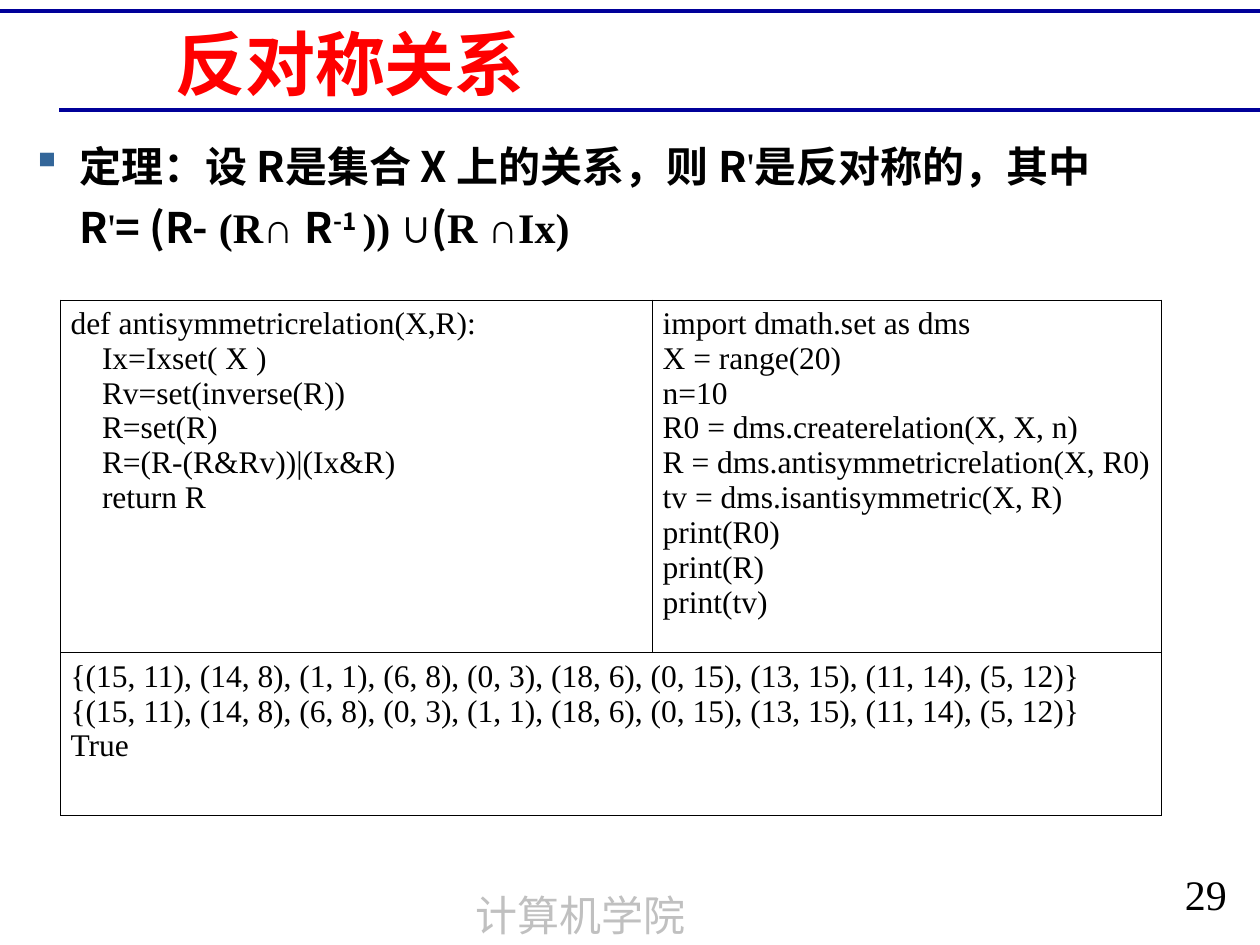
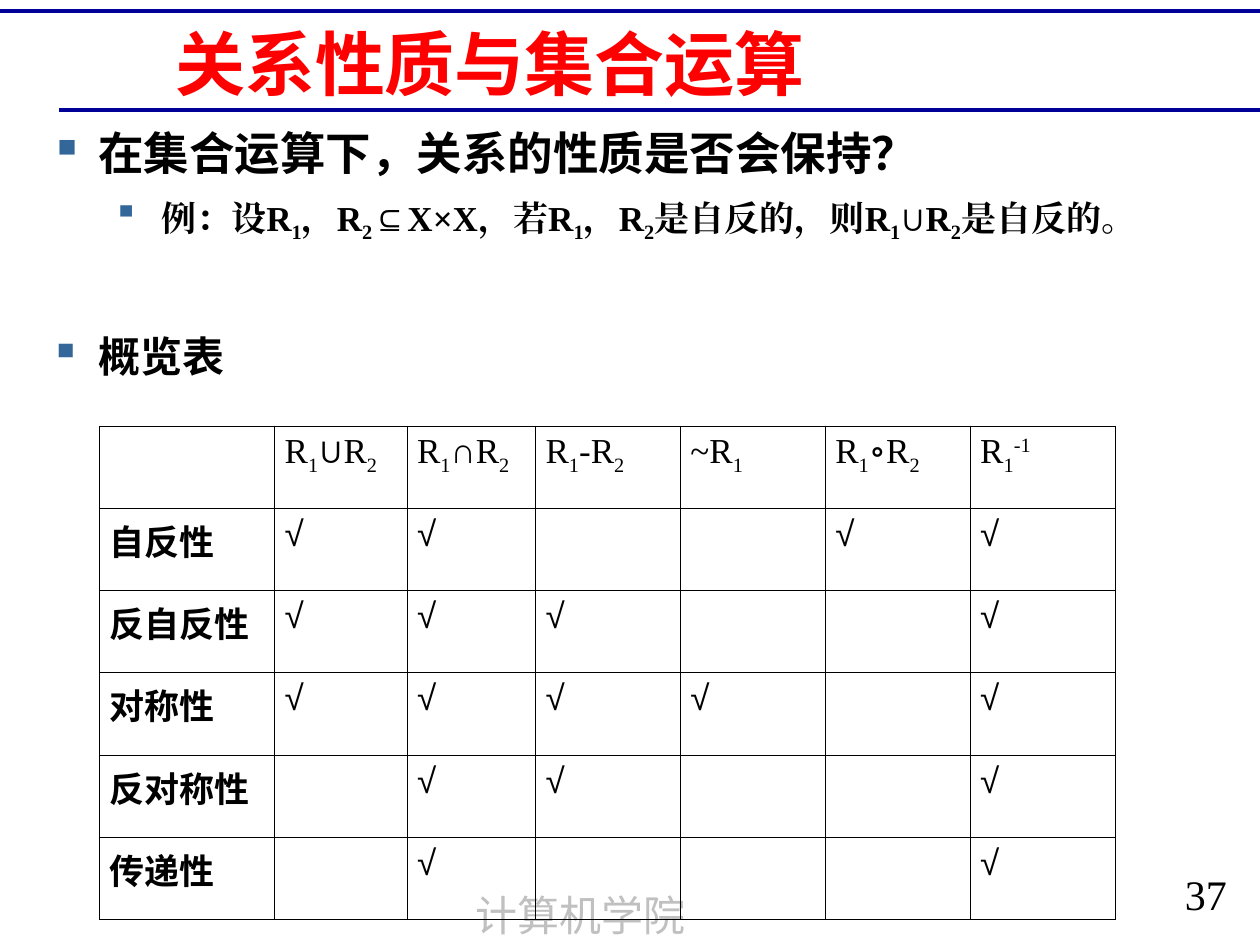
from lxml import etree
from pptx import Presentation
from pptx.dml.color import RGBColor
from pptx.enum.shapes import MSO_CONNECTOR
from pptx.enum.text import MSO_ANCHOR, MSO_AUTO_SIZE, PP_ALIGN
from pptx.oxml import parse_xml
from pptx.oxml.ns import nsdecls, qn
from pptx.util import Inches, Pt

STRAIGHT = MSO_CONNECTOR.STRAIGHT
MIDDLE = MSO_ANCHOR.MIDDLE
NO_AUTOFIT = MSO_AUTO_SIZE.NONE
LEFT, CENTER = PP_ALIGN.LEFT, PP_ALIGN.CENTER

NAVY = RGBColor(0x00, 0x00, 0x99)
RED = RGBColor(0xFF, 0x00, 0x00)
BLACK = RGBColor(0x00, 0x00, 0x00)
GRAY = RGBColor(0xC0, 0xC0, 0xC0)
BULLET_BLUE = RGBColor(0x33, 0x66, 0x99)

HEI = "Noto Sans CJK SC"
TIMES = "Times New Roman"
ARIAL = "Arial"
SUB, SUPER = -25, 30


def write_runs(paragraph, runs, size, color=BLACK):
    """Add runs given as (text, font name, bold, baseline shift in percent)."""
    for text, font_name, bold, baseline in runs:
        run = paragraph.add_run()
        run.text = text
        run.font.name = font_name
        run.font.size = Pt(size)
        run.font.bold = bold
        run.font.color.rgb = color
        properties = run.font._element
        etree.SubElement(properties, qn("a:ea")).set("typeface", font_name)
        if baseline:
            properties.set("baseline", str(baseline * 1000))


def add_text_box(slide, left, top, width, height):
    text_box = slide.shapes.add_textbox(Inches(left), Inches(top), Inches(width), Inches(height))
    text_box.text_frame.word_wrap = True
    return text_box.text_frame


presentation = Presentation()
presentation.slide_width = Inches(10)
presentation.slide_height = Inches(7.5)
title_only = presentation.slide_layouts[5]

# Shared frame: rules, footer, page number, title
slides = []
for title_text, page_number in (("反对称关系", "29"), ("关系性质与集合运算", "37")):
    slide = presentation.slides.add_slide(title_only)
    slides.append(slide)

    for start, y in ((0, 0.09), (0.47, 0.87)):
        rule = slide.shapes.add_connector(STRAIGHT, Inches(start), Inches(y), Inches(10), Inches(y))
        rule.line.color.rgb = NAVY
        rule.line.width = Pt(2.25)
        etree.SubElement(rule._element.spPr, qn("a:effectLst"))

    for text, font_name, color, box in (
        ("计算机学院", HEI, GRAY, (3.14, 7.01, 2.93, 0.5)),
        (page_number, TIMES, BLACK, (9.14, 6.84, 0.86, 0.5)),
    ):
        paragraph = add_text_box(slide, *box).paragraphs[0]
        paragraph.alignment = CENTER
        write_runs(paragraph, [(text, font_name, False, 0)], 24, color)

    title = slide.shapes.title
    title.left, title.top = Inches(1.29), Inches(0.21)
    title.width, title.height = Inches(8.14), Inches(0.58)
    title.text_frame.auto_size = NO_AUTOFIT
    title.text_frame.vertical_anchor = MIDDLE
    paragraph = title.text_frame.paragraphs[0]
    paragraph.alignment = LEFT
    write_runs(paragraph, [(title_text, HEI, True, 0)], 40, RED)

theorem_slide, overview_slide = slides

# Theorem and code
code_table = theorem_slide.shapes.add_table(
    2, 2, Inches(0.48), Inches(2.38), Inches(8.74), Inches(4.01)).table
for column, width in zip(code_table.columns, (4.7, 4.04)):
    column.width = Inches(width)
for row, height in zip(code_table.rows, (2.72, 1.29)):
    row.height = Inches(height)
code_table.cell(1, 0).merge(code_table.cell(1, 1))

FUNCTION_CODE = """def antisymmetricrelation(X,R):
    Ix=Ixset( X )
    Rv=set(inverse(R))
    R=set(R)
    R=(R-(R&Rv))|(Ix&R)
    return R"""
TEST_CODE = """import dmath.set as dms
X = range(20)
n=10
R0 = dms.createrelation(X, X, n)
R = dms.antisymmetricrelation(X, R0)
tv = dms.isantisymmetric(X, R)
print(R0)
print(R)
print(tv)"""
OUTPUT = """{(15, 11), (14, 8), (1, 1), (6, 8), (0, 3), (18, 6), (0, 15), (13, 15), (11, 14), (5, 12)}
{(15, 11), (14, 8), (6, 8), (0, 3), (1, 1), (18, 6), (0, 15), (13, 15), (11, 14), (5, 12)}
True"""
for row, column, code in ((0, 0, FUNCTION_CODE), (0, 1, TEST_CODE), (1, 0, OUTPUT)):
    text_frame = code_table.cell(row, column).text_frame
    for index, line in enumerate(code.split("\n")):
        paragraph = text_frame.add_paragraph() if index else text_frame.paragraphs[0]
        write_runs(paragraph, [(line, TIMES, False, 0)], 18)

PRIME = ("'", TIMES, False, 0)
theorem = [
    ("定理：设 R是集合 X 上的关系，则 R", HEI, True, 0),
    PRIME,
    ("是反对称的，其中", HEI, True, 0),
]
formula = [
    ("R", HEI, True, 0),
    PRIME,
    ("= (R-", HEI, True, 0),
    (" (R", TIMES, True, 0),
    ("∩ ", ARIAL, False, 0),
    ("R", HEI, True, 0),
    ("-1 ", HEI, True, SUPER),
    (")) ", TIMES, True, 0),
    ("∪", ARIAL, True, 0),
    ("(", HEI, True, 0),
    ("R ", TIMES, True, 0),
    ("∩", ARIAL, False, 0),
    ("Ix)", TIMES, True, 0),
]

# Properties under set operations
R = ("R", TIMES, False, 0)
ONE = ("1", TIMES, False, SUB)
TWO = ("2", TIMES, False, SUB)
operations = [
    [R, ONE, ("∪", ARIAL, False, 0), R, TWO],
    [R, ONE, ("∩", ARIAL, False, 0), R, TWO],
    [R, ONE, ("-R", TIMES, False, 0), TWO],
    [("~R", TIMES, False, 0), ONE],
    [R, ONE, ("∘R", TIMES, False, 0), TWO],
    [R, ONE, ("-1", TIMES, False, SUPER)],
]
# Columns in which each property is kept
kept_columns = {
    "自反性": (1, 2, 5, 6),
    "反自反性": (1, 2, 3, 6),
    "对称性": (1, 2, 3, 4, 6),
    "反对称性": (2, 3, 6),
    "传递性": (2, 6),
}
overview_table = overview_slide.shapes.add_table(
    6, 7, Inches(0.79), Inches(3.38), Inches(8.06), Inches(3.92)).table
for column, width in zip(overview_table.columns, (1.39, 1.05, 1.02, 1.15, 1.15, 1.15, 1.15)):
    column.width = Inches(width)
for row in overview_table.rows:
    row.height = Inches(3.92 / 6)
for column, runs in enumerate(operations, start=1):
    write_runs(overview_table.cell(0, column).text_frame.paragraphs[0], runs, 20)
for row, (name, columns) in enumerate(kept_columns.items(), start=1):
    write_runs(overview_table.cell(row, 0).text_frame.paragraphs[0], [(name, HEI, True, 0)], 20)
    for column in columns:
        check = overview_table.cell(row, column).text_frame.paragraphs[0]
        write_runs(check, [("√", ARIAL, False, 0)], 20)

BOLD_ONE = ("1", TIMES, True, SUB)
BOLD_TWO = ("2", TIMES, True, SUB)
example = [
    ("例：设R", TIMES, True, 0), BOLD_ONE,
    ("，R", TIMES, True, 0), BOLD_TWO,
    ("⊆", ARIAL, True, 0),
    ("X×X，若R", TIMES, True, 0), BOLD_ONE,
    ("，R", TIMES, True, 0), BOLD_TWO,
    ("是自反的，则R", TIMES, True, 0), BOLD_ONE,
    ("∪", ARIAL, True, 0),
    ("R", TIMES, True, 0), BOLD_TWO,
    ("是自反的。", TIMES, True, 0),
]
question = [("在集合运算下，关系的性质是否会保持？", HEI, True, 0)]
overview = [("概览表", HEI, True, 0)]

# Body text: each paragraph is runs, size, level, bulleted
for slide, box, paragraphs in (
    (theorem_slide, (0.15, 1.14, 9.39, 0.98), [(theorem, 24, 0, True), (formula, 24, 0, False)]),
    (overview_slide, (0.3, 1.03, 9.39, 1.76), [(question, 26, 0, True), (example, 20, 1, True)]),
    (overview_slide, (0.3, 2.65, 9.39, 0.59), [(overview, 24, 0, True)]),
):
    text_frame = add_text_box(slide, *box)
    for index, (runs, size, level, bulleted) in enumerate(paragraphs):
        paragraph = text_frame.add_paragraph() if index else text_frame.paragraphs[0]
        paragraph.level = level
        paragraph.line_spacing = 0.8
        paragraph.space_after = Pt(6)
        if index:
            paragraph.space_before = Pt(6)
        properties = paragraph._p.get_or_add_pPr()
        properties.set("marL", str(Inches(0.38 + 0.5 * level)))
        properties.set("indent", str(Inches(-0.38 if bulleted else 0)))
        if bulleted:
            bullet_color = etree.SubElement(properties, qn("a:buClr"))
            etree.SubElement(bullet_color, qn("a:srgbClr")).set("val", str(BULLET_BLUE))
            etree.SubElement(properties, qn("a:buChar")).set("char", "▪")
        write_runs(paragraph, runs, size)

# Plain black grid for both tables
for table in (code_table, overview_table):
    table.first_row = False
    table.horz_banding = False
    for cell in table.iter_cells():
        cell.margin_left = cell.margin_right = Inches(0.08)
        cell.margin_top = cell.margin_bottom = Inches(0.05)
        cell_properties = cell._tc.get_or_add_tcPr()
        for side in ("lnL", "lnR", "lnT", "lnB"):
            cell_properties.append(parse_xml(
                f'<a:{side} {nsdecls("a")} w="{Pt(0.45)}"><a:solidFill>'
                f'<a:srgbClr val="{BLACK}"/></a:solidFill></a:{side}>'))
        cell.fill.background()

presentation.save("out.pptx")
